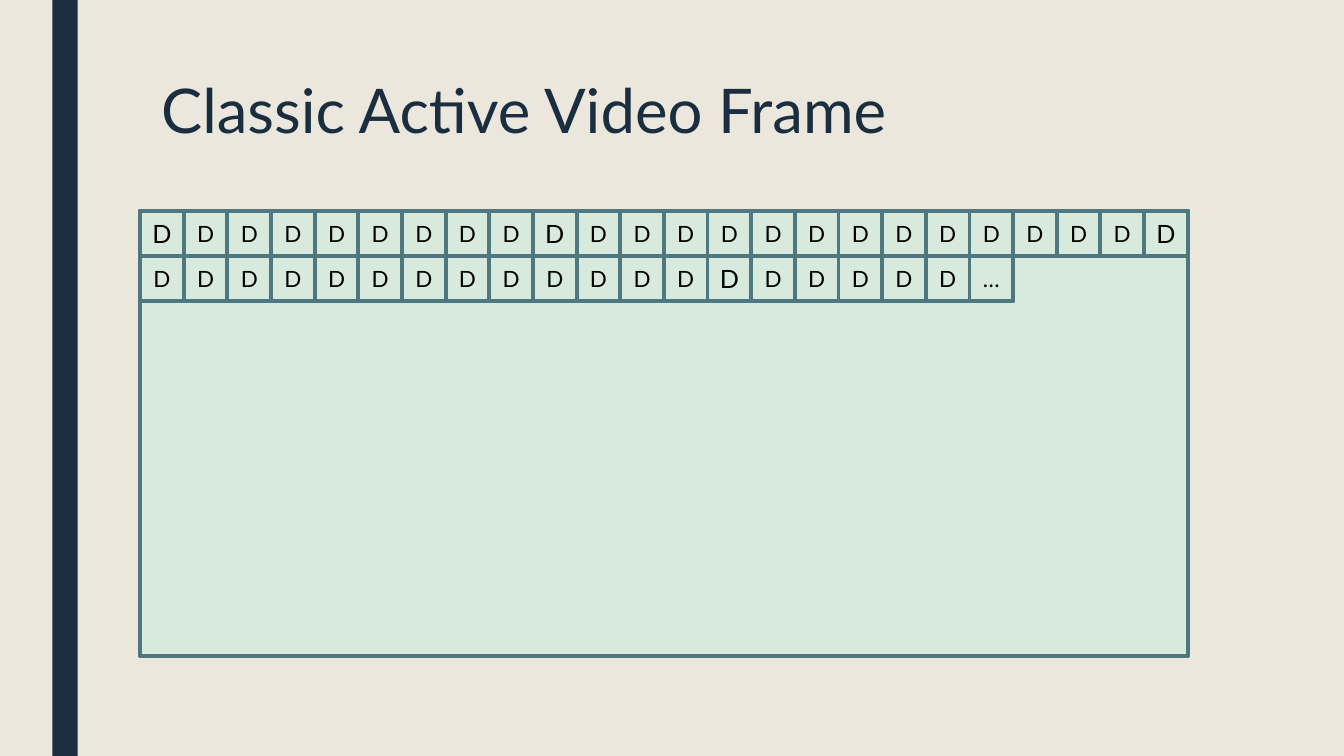
from dataclasses import dataclass

from pptx import Presentation
from pptx.dml.color import RGBColor as Rgb
from pptx.enum.shapes import MSO_SHAPE as Preset
from pptx.enum.text import MSO_ANCHOR as Anchor, PP_ALIGN as Align
from pptx.util import Inches, Pt


@dataclass(frozen=True)
class Theme:
    font: str = "Lato"
    paper: Rgb = Rgb.from_string("EBE7DD")
    navy: Rgb = Rgb.from_string("1A2E40")
    mint: Rgb = Rgb.from_string("D8E9DE")
    teal: Rgb = Rgb.from_string("4E777F")
    black: Rgb = Rgb.from_string("000000")
    title_size: Pt = Pt(44)
    large_size: Pt = Pt(18)
    word_size: Pt = Pt(16)
    border: Pt = Pt(2.75)


THEME = Theme()
SLIDE_W, SLIDE_H = 13.33, 7.5
FRAME_LEFT, FRAME_TOP, FRAME_W, FRAME_H = 1.39, 2.09, 10.39, 4.42
COLUMNS = 24
CELL_W, CELL_H = FRAME_W / COLUMNS, 0.45
WORD_ROWS = ["D" * COLUMNS, "D" * 19 + "…"]
LARGE_WORDS = {(0, 0), (0, 9), (0, 23), (1, 13)}  # (row, column)


def apply_format(target, values):
    for name, value in values.items():
        setattr(target, name, value)


def write(frame, text, size, color, **paragraph_format):
    paragraph = frame.paragraphs[0]
    apply_format(paragraph, paragraph_format)
    run = paragraph.add_run()
    run.text = text
    apply_format(run.font, {"name": THEME.font, "size": size})
    run.font.color.rgb = color


def add_block(slide, left, top, width, height, fill, outline=None):
    block = slide.shapes.add_shape(
        Preset.RECTANGLE, *map(Inches, (left, top, width, height)))
    block.shadow.inherit = False
    block.fill.solid()
    block.fill.fore_color.rgb = fill
    if outline is None:
        block.line.fill.background()
    else:
        block.line.color.rgb = outline
        block.line.width = THEME.border
    return block


def add_title(slide, text):
    title = slide.shapes.add_textbox(*map(Inches, (1.5, 0.75, 10.5, 1.62)))
    apply_format(title.text_frame,
                 {"word_wrap": True, "vertical_anchor": Anchor.TOP})
    write(title.text_frame, text, THEME.title_size, THEME.navy,
          line_spacing=0.89)


def add_word(slide, row, column, text):
    """Add one data word of the video frame at a grid position."""
    word = add_block(slide, FRAME_LEFT + column * CELL_W,
                     FRAME_TOP + row * CELL_H, CELL_W, CELL_H,
                     THEME.mint, THEME.teal)
    apply_format(word.text_frame, {
        "word_wrap": True, "vertical_anchor": Anchor.MIDDLE,
        "margin_left": 0, "margin_right": 0})
    large = (row, column) in LARGE_WORDS
    write(word.text_frame, text,
          THEME.large_size if large else THEME.word_size,
          THEME.black, alignment=Align.CENTER)


def main():
    deck = Presentation()
    apply_format(deck, {"slide_width": Inches(SLIDE_W),
                        "slide_height": Inches(SLIDE_H)})
    slide = deck.slides.add_slide(deck.slide_layouts[6])
    slide.background.fill.solid()
    slide.background.fill.fore_color.rgb = THEME.paper

    add_block(slide, 0.52, 0, 0.25, SLIDE_H, THEME.navy)
    add_title(slide, "Classic Active Video Frame")
    add_block(slide, FRAME_LEFT, FRAME_TOP, FRAME_W, FRAME_H,
              THEME.mint, THEME.teal)
    for row, words in enumerate(WORD_ROWS):
        for column, text in enumerate(words):
            add_word(slide, row, column, text)
    deck.save("out.pptx")


if __name__ == "__main__":
    main()
